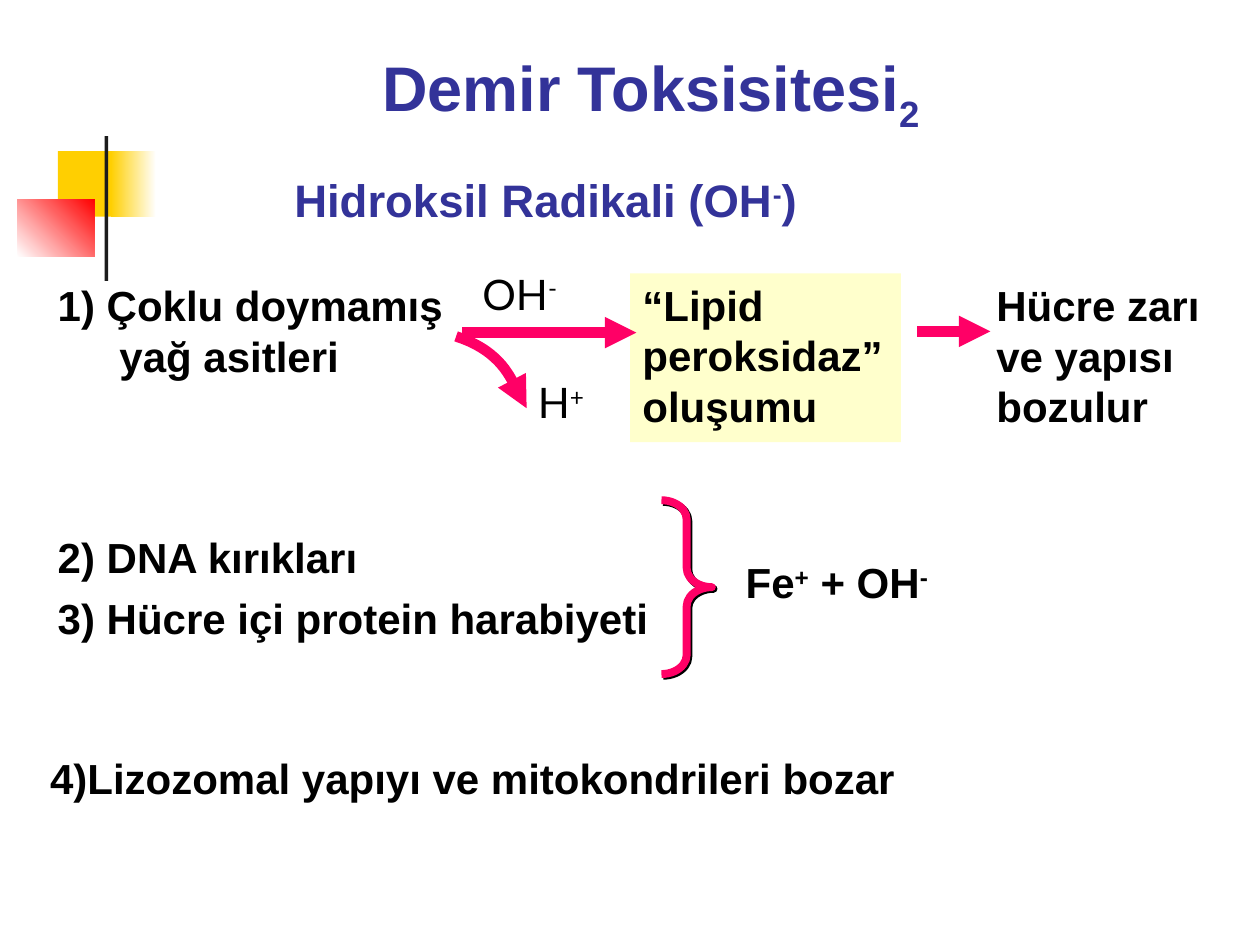
from dataclasses import dataclass

from lxml.etree import SubElement
from pptx import Presentation
from pptx.dml.color import RGBColor as RGB
from pptx.enum.shapes import MSO_CONNECTOR, MSO_SHAPE as SHAPE
from pptx.enum.text import MSO_ANCHOR as ANCHOR, PP_ALIGN as ALIGN
from pptx.oxml.ns import qn
from pptx.util import Inches, Pt


@dataclass(frozen=True)
class Theme:
    navy = RGB(0x33, 0x33, 0x99)
    black = RGB(0, 0, 0)
    white = RGB(255, 255, 255)
    pink = RGB(0xFF, 0, 0x66)
    cream = RGB(0xFF, 0xFF, 0xCC)
    yellow = RGB(0xFF, 0xCF, 0x01)
    red = RGB(255, 0, 0)
    bar = RGB(0x1C, 0x1C, 0x1C)
    font, label_font = "Arial", "Lato"
    title, subtitle, body = 36, 26, 24
    arrow, brace = Pt(6), Pt(4.5)
    leading = 1.2
    hang = Inches(0.49)


T = Theme()


def add_shadow(props):
    """Give shape or run properties a small black drop shadow."""
    effects = props.find(qn("a:effectLst"))
    if effects is None:
        effects = SubElement(props, qn("a:effectLst"))
    shadow = SubElement(effects, qn("a:outerShdw"), dist=str(Pt(1.4)), dir="2700000", algn="ctr")
    SubElement(shadow, qn("a:srgbClr"), val=str(T.black))


def add_arrowhead(line):
    SubElement(line.get_or_change_to_solidFill().getparent() if hasattr(
        line, "get_or_change_to_solidFill") else line, qn("a:tailEnd"), type="triangle")


def add_text(s, box, *paragraphs, size=T.body, color=T.black, font=T.font, bold=True,
             align=ALIGN.LEFT, anchor=ANCHOR.TOP, hang=False, shadow=False, fill=None):
    """Each paragraph is a list of (text, baseline percent) pairs."""
    sp = s.shapes.add_textbox(*map(Inches, box))
    if fill is not None:
        sp.fill.solid()
        sp.fill.fore_color.rgb = fill
    tf = sp.text_frame
    tf.word_wrap, tf.vertical_anchor = True, anchor
    for i, runs in enumerate(paragraphs):
        p = tf.paragraphs[0] if i == 0 else tf.add_paragraph()
        p.alignment, p.line_spacing = align, Pt(size * T.leading)
        p.space_before = Pt(6 if i else 0)
        if hang:
            pPr = p._p.get_or_add_pPr()
            pPr.set("marL", str(T.hang))
            pPr.set("indent", str(-T.hang))
        for text, baseline in runs:
            r = p.add_run()
            r.text = text
            for name, value in {"size": Pt(size), "name": font, "bold": bold}.items():
                setattr(r.font, name, value)
            r.font.color.rgb = color
            rPr = r._r.get_or_add_rPr()
            if baseline:
                rPr.set("baseline", str(baseline * 1000))
            if shadow:
                add_shadow(rPr)
                rPr.insert(1, rPr.find(qn("a:effectLst")))
    return sp


def style_line(sp, width, arrow=False):
    sp.line.color.rgb, sp.line.width = T.pink, width
    if arrow:
        SubElement(sp.line._get_or_add_ln(), qn("a:tailEnd"), type="triangle")


def add_arrow(s, x1, x2, y):
    sp = s.shapes.add_connector(MSO_CONNECTOR.STRAIGHT, *map(Inches, (x1, y, x2, y)))
    style_line(sp, T.arrow, arrow=True)
    SubElement(sp._element.spPr, qn("a:effectLst"))


def add_curved_arrow(s, controls, steps=24):
    """Draw a cubic curve through its four control points."""
    def point(t):
        weights = ((1 - t) ** 3, 3 * t * (1 - t) ** 2, 3 * t * t * (1 - t), t ** 3)
        return tuple(Inches(sum(w * c[axis] for w, c in zip(weights, controls)))
                     for axis in (0, 1))

    start, *rest = [point(i / steps) for i in range(steps + 1)]
    builder = s.shapes.build_freeform(*start)
    builder.add_line_segments(rest, close=False)
    sp = builder.convert_to_shape()
    sp.shadow.inherit = False
    sp.fill.background()
    style_line(sp, T.arrow, arrow=True)


def add_ornament(s, x, y):
    """Coloured blocks and bar beside the heading."""
    blocks = [
        ((0.32, 0.12, 0.48, 0.52), (T.yellow,), 0),
        ((0.74, 0.12, 0.36, 0.52), (T.yellow, T.white), 0),
        ((0, 0.5, 0.61, 0.46), (T.white, T.red), 45),
        ((0.69, 0, 0.03, 1.15), (T.bar,), 0),
    ]
    for (dx, dy, w, h), colors, angle in blocks:
        sp = s.shapes.add_shape(SHAPE.RECTANGLE, *map(Inches, (x + dx, y + dy, w, h)))
        sp.shadow.inherit = False
        sp.line.fill.background()
        if len(colors) == 1:
            sp.fill.solid()
            sp.fill.fore_color.rgb = colors[0]
            continue
        sp.fill.gradient()
        sp.fill.gradient_angle = angle
        for stop, color, position in zip(sp.fill.gradient_stops, colors, (0, 1)):
            stop.color.rgb, stop.position = color, position


def add_headings(s, x, y):
    add_text(s, (x, y, 7.33, 0.79), [("Demir Toksisitesi", 0), ("2", -25)],
             size=T.title, color=T.navy, align=ALIGN.CENTER)
    add_text(s, (x + 0.33, y + 0.83, 5, 0.67),
             [("Hidroksil Radikali (OH", 0), ("-", 30), (")", 0)],
             size=T.subtitle, color=T.navy, align=ALIGN.CENTER,
             anchor=ANCHOR.MIDDLE, shadow=True)


def add_reaction(s, x, y):
    """Fatty acids to lipid peroxidase to cell damage."""
    add_text(s, (x, y, 3.3, 1.19), [("1) Çoklu doymamış yağ asitleri", 0)], hang=True)
    for dx, dy, w, base, sign in ((3.37, -0.09, 1.3, "OH", "-"), (3.81, 0.77, 0.63, "H", "+")):
        add_text(s, (x + dx, y + dy, w, 0.54), [(base, 0), (sign, 30)],
                 font=T.label_font, bold=False, hang=True)
    add_text(s, (x + 4.64, y, 2.15, 1.34), [("“Lipid peroksidaz” oluşumu", 0)], fill=T.cream)
    add_text(s, (x + 7.45, y, 1.94, 1.19), [("Hücre zarı ve yapısı bozulur", 0)])
    add_arrow(s, x + 3.31, x + 4.69, y + 0.47)
    add_arrow(s, x + 6.92, x + 7.5, y + 0.46)
    curve = ((3.26, 0.5), (3.73, 0.65), (3.73, 0.99), (3.82, 1.07))
    add_curved_arrow(s, [(x + dx, y + dy) for dx, dy in curve])


def add_damage_list(s, x, y):
    """Remaining effects, two of them bracketed."""
    add_text(s, (x, y, 5.19, 1.19), [("2) DNA kırıkları", 0)],
             [("3) Hücre içi protein harabiyeti", 0)], hang=True)
    brace = s.shapes.add_shape(SHAPE.RIGHT_BRACE,
                               *map(Inches, (x + 4.89, y - 0.2, 0.4, 1.38)))
    brace.adjustments[0] = 0.38
    brace.shadow.inherit = False
    brace.fill.background()
    style_line(brace, T.brace)
    add_shadow(brace._element.spPr)
    add_text(s, (x + 5.46, y + 0.2, 1.94, 0.57),
             [("Fe", 0), ("+", 30), (" + OH", 0), ("-", 30)], hang=True)
    add_text(s, (x - 0.11, y + 1.75, 7, 0.5),
             [("4)Lizozomal yapıyı ve mitokondrileri bozar", 0)], align=ALIGN.CENTER)


def main():
    prs = Presentation()
    prs.slide_width, prs.slide_height = Inches(10), Inches(7.5)
    s = prs.slides.add_slide(prs.slide_layouts[6])
    add_ornament(s, 0.14, 1.08)
    add_headings(s, 1.5, 0.42)
    add_reaction(s, 0.36, 2.17)
    add_damage_list(s, 0.36, 4.17)
    prs.save("out.pptx")


if __name__ == "__main__":
    main()
